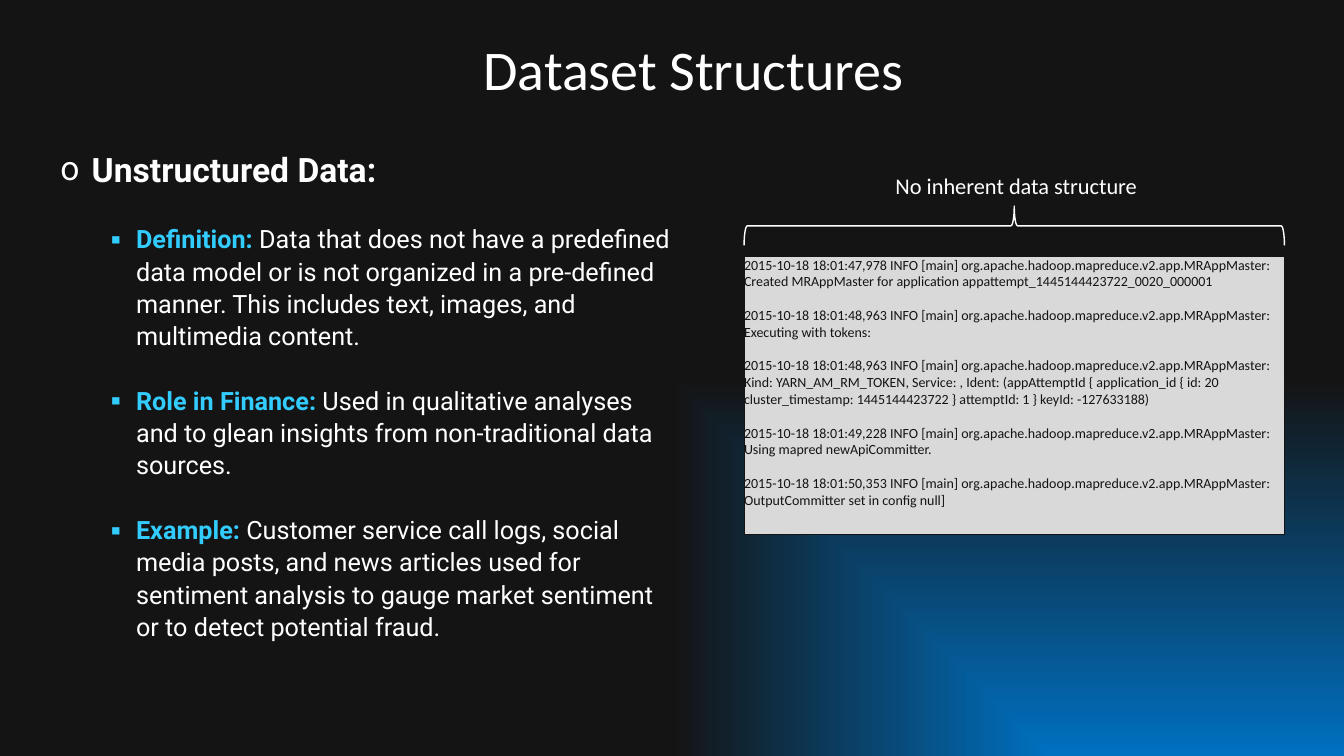
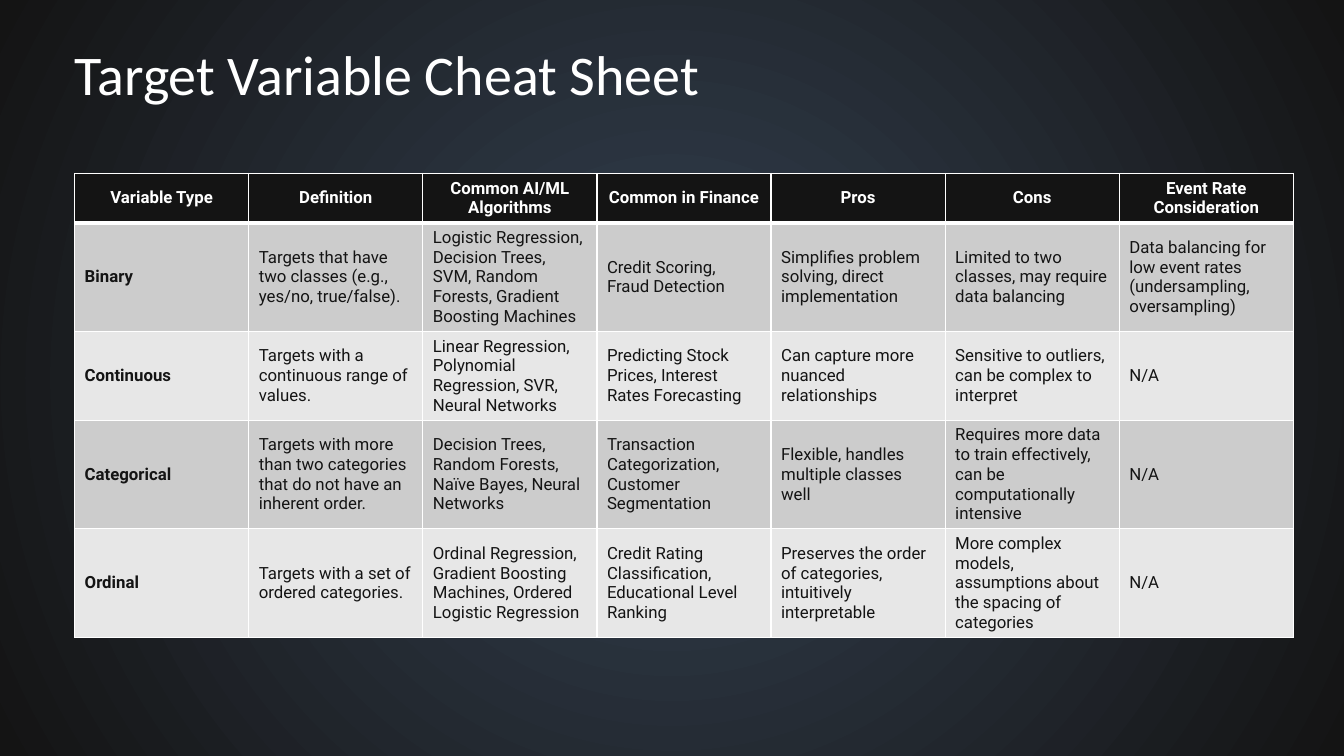
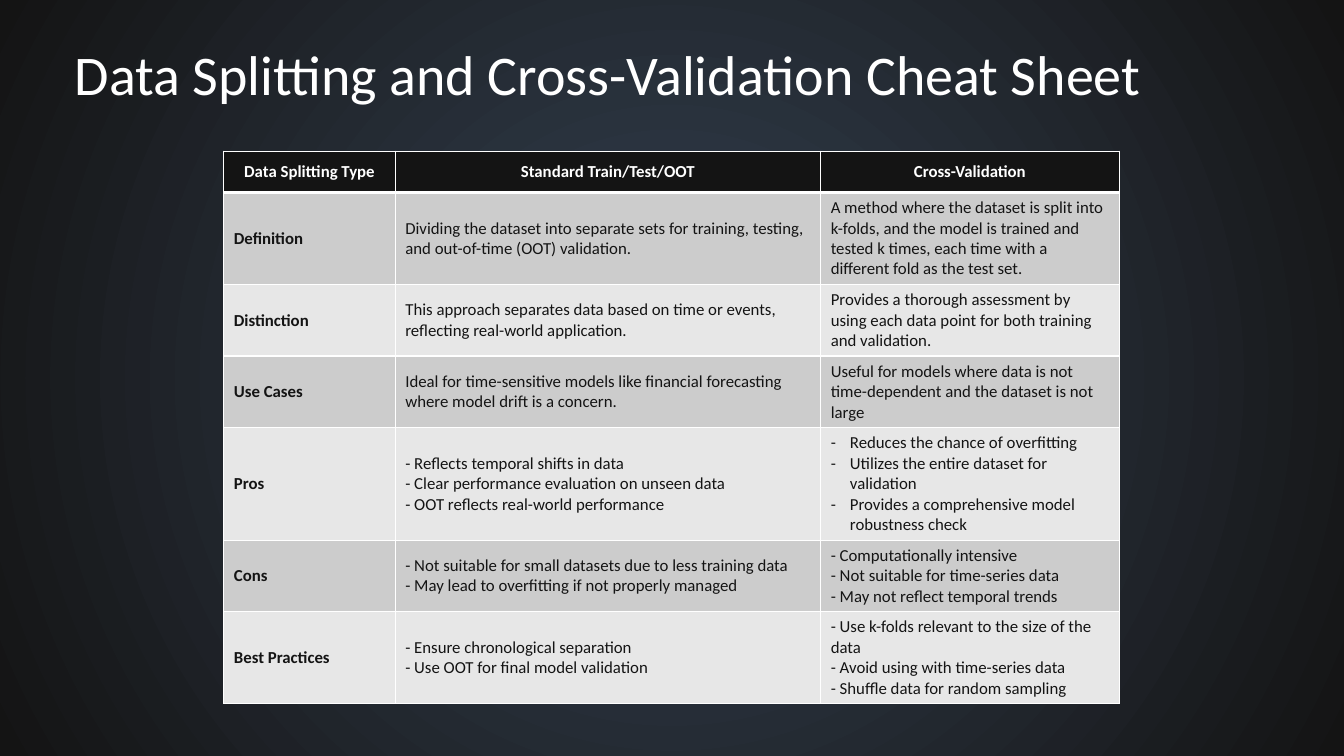
from lxml.etree import SubElement
from pptx import Presentation
from pptx.dml.color import RGBColor
from pptx.enum.shapes import MSO_SHAPE as SHAPE
from pptx.enum.text import MSO_ANCHOR as ANCHOR, MSO_AUTO_SIZE as AUTO_SIZE, PP_ALIGN as ALIGN
from pptx.oxml import parse_xml
from pptx.oxml.ns import nsdecls, qn
from pptx.util import Inches, Pt

# Shared look
WHITE = RGBColor(0xFF, 0xFF, 0xFF)
INK = RGBColor(0x14, 0x14, 0x14)
SLATE = RGBColor(0x34, 0x41, 0x52)
BLUE = RGBColor(0x00, 0x70, 0xC0)
CYAN = RGBColor(0x33, 0xCC, 0xFF)
PANEL_GRAY = RGBColor(0xD9, 0xD9, 0xD9)
ROW_FILLS = (RGBColor(0xCC, 0xCC, 0xCC), RGBColor(0xE7, 0xE7, 0xE7))
SLIDE_W, SLIDE_H = 13.33, 7.5
HEADING_FONT, BODY_FONT = "Calibri", "Roboto"
ROW_H = 0.41

# Content
UNSTRUCTURED_POINTS = [
    ("Definition: ", "Data that does not have a predefined data model or is not organized "
     "in a pre-defined manner. This includes text, images, and multimedia content."),
    ("Role in Finance: ", "Used in qualitative analyses and to glean insights from "
     "non-traditional data sources."),
    ("Example: ", "Customer service call logs, social media posts, and news articles used for "
     "sentiment analysis to gauge market sentiment or to detect potential fraud."),
]
LOG_SOURCE = "INFO [main] org.apache.hadoop.mapreduce.v2.app.MRAppMaster:"
LOG_ENTRIES = [
    ("2015-10-18 18:01:47,978",
     "Created MRAppMaster for application appattempt_1445144423722_0020_000001"),
    ("2015-10-18 18:01:48,963", "Executing with tokens:"),
    ("2015-10-18 18:01:48,963",
     "Kind: YARN_AM_RM_TOKEN, Service: , Ident: (appAttemptId { application_id { id: 20 "
     "cluster_timestamp: 1445144423722 } attemptId: 1 } keyId: -127633188)"),
    ("2015-10-18 18:01:49,228", "Using mapred newApiCommitter."),
    ("2015-10-18 18:01:50,353", "OutputCommitter set in config null]"),
]
TARGET_ROWS = [
    ["Variable Type", "Definition", "Common AI/ML Algorithms", "Common in Finance",
     "Pros", "Cons", "Event Rate Consideration"],
    ["Binary", "Targets that have two classes (e.g., yes/no, true/false).",
     "Logistic Regression, Decision Trees, SVM, Random Forests, Gradient Boosting Machines",
     "Credit Scoring, Fraud Detection", "Simplifies problem solving, direct implementation",
     "Limited to two classes, may require data balancing",
     "Data balancing for low event rates (undersampling, oversampling)"],
    ["Continuous", "Targets with a continuous range of values.",
     "Linear Regression, Polynomial Regression, SVR, Neural Networks",
     "Predicting Stock Prices, Interest Rates Forecasting",
     "Can capture more nuanced relationships",
     "Sensitive to outliers, can be complex to interpret", "N/A"],
    ["Categorical", "Targets with more than two categories that do not have an inherent order.",
     "Decision Trees, Random Forests, Naïve Bayes, Neural Networks",
     "Transaction Categorization, Customer Segmentation",
     "Flexible, handles multiple classes well",
     "Requires more data to train effectively, can be computationally intensive", "N/A"],
    ["Ordinal", "Targets with a set of ordered categories.",
     "Ordinal Regression, Gradient Boosting Machines, Ordered Logistic Regression",
     "Credit Rating Classification, Educational Level Ranking",
     "Preserves the order of categories, intuitively interpretable",
     "More complex models, assumptions about the spacing of categories", "N/A"],
]
# A list in a cell becomes bullets
SPLITTING_ROWS = [
    ["Data Splitting Type", "Standard Train/Test/OOT", "Cross-Validation"],
    ["Definition",
     "Dividing the dataset into separate sets for training, testing, and out-of-time (OOT) "
     "validation.",
     "A method where the dataset is split into k-folds, and the model is trained and tested "
     "k times, each time with a different fold as the test set."],
    ["Distinction",
     "This approach separates data based on time or events, reflecting real-world application.",
     "Provides a thorough assessment by using each data point for both training and validation."],
    ["Use Cases",
     "Ideal for time-sensitive models like financial forecasting where model drift is a concern.",
     "Useful for models where data is not time-dependent and the dataset is not large"],
    ["Pros",
     "- Reflects temporal shifts in data\n- Clear performance evaluation on unseen data\n"
     "- OOT reflects real-world performance",
     ["Reduces the chance of overfitting", "Utilizes the entire dataset for validation",
      "Provides a comprehensive model robustness check"]],
    ["Cons",
     "- Not suitable for small datasets due to less training data\n"
     "- May lead to overfitting if not properly managed",
     "- Computationally intensive\n- Not suitable for time-series data\n"
     "- May not reflect temporal trends"],
    ["Best Practices",
     "- Ensure chronological separation\n- Use OOT for final model validation",
     "- Use k-folds relevant to the size of the data\n- Avoid using with time-series data\n"
     "- Shuffle data for random sampling"],
]


def write(frame, text, *, lead="", size=12, font=HEADING_FONT, color=WHITE, bold=False,
          align=ALIGN.LEFT, before=0, spacing=1.0, bullet=None, indent=0, hang=0):
    """Add a paragraph, with an optional highlighted lead, to a text frame."""
    first = frame.paragraphs[0]
    is_first = not first.runs
    paragraph = first if is_first else frame.add_paragraph()
    if bullet:
        props = paragraph._p.get_or_add_pPr()
        props.set("marL", str(Inches(indent)))
        props.set("indent", str(-Inches(hang)))
        SubElement(props, qn("a:buFont")).set("typeface", font)
        SubElement(props, qn("a:buChar")).set("char", bullet)
    paragraph.alignment = align
    paragraph.line_spacing = spacing
    paragraph.space_before = Pt(0 if is_first else before)
    for part, part_color, part_bold in ((lead, CYAN, True), (text, color, bold)):
        if part:
            run = paragraph.add_run()
            run.text = part
            run.font.name, run.font.size = font, Pt(size)
            run.font.bold, run.font.color.rgb = part_bold, part_color


def prepare_frame(frame):
    frame.margin_left = frame.margin_right = frame.margin_top = frame.margin_bottom = 0
    frame.vertical_anchor = ANCHOR.TOP
    frame.auto_size = AUTO_SIZE.NONE
    frame.word_wrap = True
    return frame


def add_text_frame(slide, box):
    return prepare_frame(slide.shapes.add_textbox(*map(Inches, box)).text_frame)


def add_backdrop(slide, inner, path_kind, focus):
    """Cover the slide with a gradient that runs from focus to dark edges."""
    backdrop = slide.shapes.add_shape(SHAPE.RECTANGLE, 0, 0, Inches(SLIDE_W), Inches(SLIDE_H))
    backdrop.shadow.inherit = False
    backdrop.line.fill.background()
    left, top, right, bottom = (side * 1000 for side in focus)
    gradient = parse_xml(
        f'<a:gradFill {nsdecls("a")} rotWithShape="1"><a:gsLst>'
        f'<a:gs pos="0"><a:srgbClr val="{inner}"/></a:gs>'
        f'<a:gs pos="100000"><a:srgbClr val="{INK}"/></a:gs></a:gsLst>'
        f'<a:path path="{path_kind}"><a:fillToRect l="{left}" t="{top}" r="{right}" '
        f'b="{bottom}"/></a:path></a:gradFill>')
    backdrop._element.spPr.find(qn("a:prstGeom")).addnext(gradient)
    # Send it behind the title
    backdrop._element.getparent().insert(2, backdrop._element)


def add_titled_slide(deck, title, box, align=ALIGN.LEFT, inner=SLATE, path_kind="circle",
                     focus=(50, 50, 50, 50)):
    slide = deck.slides.add_slide(deck.slide_layouts[5])
    add_backdrop(slide, inner, path_kind, focus)
    heading = slide.shapes.title
    heading.left, heading.top, heading.width, heading.height = map(Inches, box)
    write(prepare_frame(heading.text_frame), title, size=40, align=align)
    return slide


def add_definitions(slide, box):
    frame = add_text_frame(slide, box)
    body = dict(font=BODY_FONT, spacing=1.07)
    write(frame, "Unstructured Data:", size=24, bold=True, bullet="o",
          indent=0.81, hang=0.31, **body)
    for lead, text in UNSTRUCTURED_POINTS:
        write(frame, text, lead=lead, size=18, before=23, bullet="▪",
              indent=1.25, hang=0.25, **body)


def add_log_panel(slide, box):
    """Log extract with a brace and a caption above it."""
    left, top, width, height = box
    center = left + width / 2
    panel = slide.shapes.add_shape(SHAPE.RECTANGLE, *map(Inches, box))
    panel.shadow.inherit = False
    panel.fill.solid()
    panel.fill.fore_color.rgb = PANEL_GRAY
    panel.line.color.rgb, panel.line.width = INK, Pt(0.75)
    log = prepare_frame(panel.text_frame)
    for stamp, message in LOG_ENTRIES:
        write(log, f"{stamp} {LOG_SOURCE} {message}", size=10, color=INK, before=12)

    # The brace is turned about its middle
    depth, brace_middle = 0.39, top - 0.3
    brace = slide.shapes.add_shape(
        SHAPE.RIGHT_BRACE, Inches(center - depth / 2), Inches(brace_middle - width / 2),
        Inches(depth), Inches(width))
    brace.rotation = 270
    brace.shadow.inherit = False
    brace.fill.background()
    brace.line.color.rgb, brace.line.width = WHITE, Pt(1)

    caption = add_text_frame(slide, (center - 1.51, top - 0.83, 3.06, 0.16))
    write(caption, "No inherent data structure", size=16, align=ALIGN.CENTER)


def set_borders(cell, top, bottom):
    props = cell._tc.get_or_add_tcPr()
    for side, points in (("L", 1), ("R", 1), ("T", top), ("B", bottom)):
        props.append(parse_xml(
            f'<a:ln{side} {nsdecls("a")} w="{Pt(points)}"><a:solidFill>'
            f'<a:srgbClr val="{WHITE}"/></a:solidFill></a:ln{side}>'))


def add_cheat_table(slide, left, top, widths, rows, font):
    table = slide.shapes.add_table(
        len(rows), len(widths), Inches(left), Inches(top),
        Inches(sum(widths)), Inches(ROW_H * len(rows))).table
    for column, width in zip(table.columns, widths):
        column.width = Inches(width)
    for r, row in enumerate(rows):
        table.rows[r].height = Inches(ROW_H)
        header = r == 0
        for c, content in enumerate(row):
            cell = table.cell(r, c)
            # A thick rule parts the header from the body
            set_borders(cell, top=3 if r == 1 else 1, bottom=3 if header else 1)
            cell.fill.solid()
            cell.fill.fore_color.rgb = INK if header else ROW_FILLS[(r - 1) % 2]
            cell.vertical_anchor = ANCHOR.MIDDLE
            bulleted = isinstance(content, list)
            for line in content if bulleted else content.split("\n"):
                write(cell.text_frame, line, font=font, color=WHITE if header else INK,
                      bold=header or c == 0, align=ALIGN.CENTER if header else ALIGN.LEFT,
                      bullet="-" if bulleted else None, indent=0.19, hang=0.19)


def main():
    deck = Presentation()
    deck.slide_width, deck.slide_height = Inches(SLIDE_W), Inches(SLIDE_H)

    # Dataset structures
    structures = add_titled_slide(deck, "Dataset Structures", (4.62, 0.34, 4.34, 0.79),
                                  ALIGN.RIGHT, BLUE, "rect", (100, 100, 0, 0))
    add_definitions(structures, (0.1, 1.45, 6.57, 5.56))
    add_log_panel(structures, (7.38, 2.54, 5.36, 2.76))

    # Cheat sheets
    title_box = (0.74, 0.39, 12.08, 0.79)
    targets = add_titled_slide(deck, "Target Variable Cheat Sheet", title_box)
    add_cheat_table(targets, 0.74, 1.72, [12.09 / 7] * 7, TARGET_ROWS, BODY_FONT)
    splitting = add_titled_slide(deck, "Data Splitting and Cross-Validation Cheat Sheet", title_box)
    add_cheat_table(splitting, 2.22, 1.5, [1.7, 4.22, 2.96], SPLITTING_ROWS, HEADING_FONT)

    deck.save("out.pptx")


if __name__ == "__main__":
    main()
